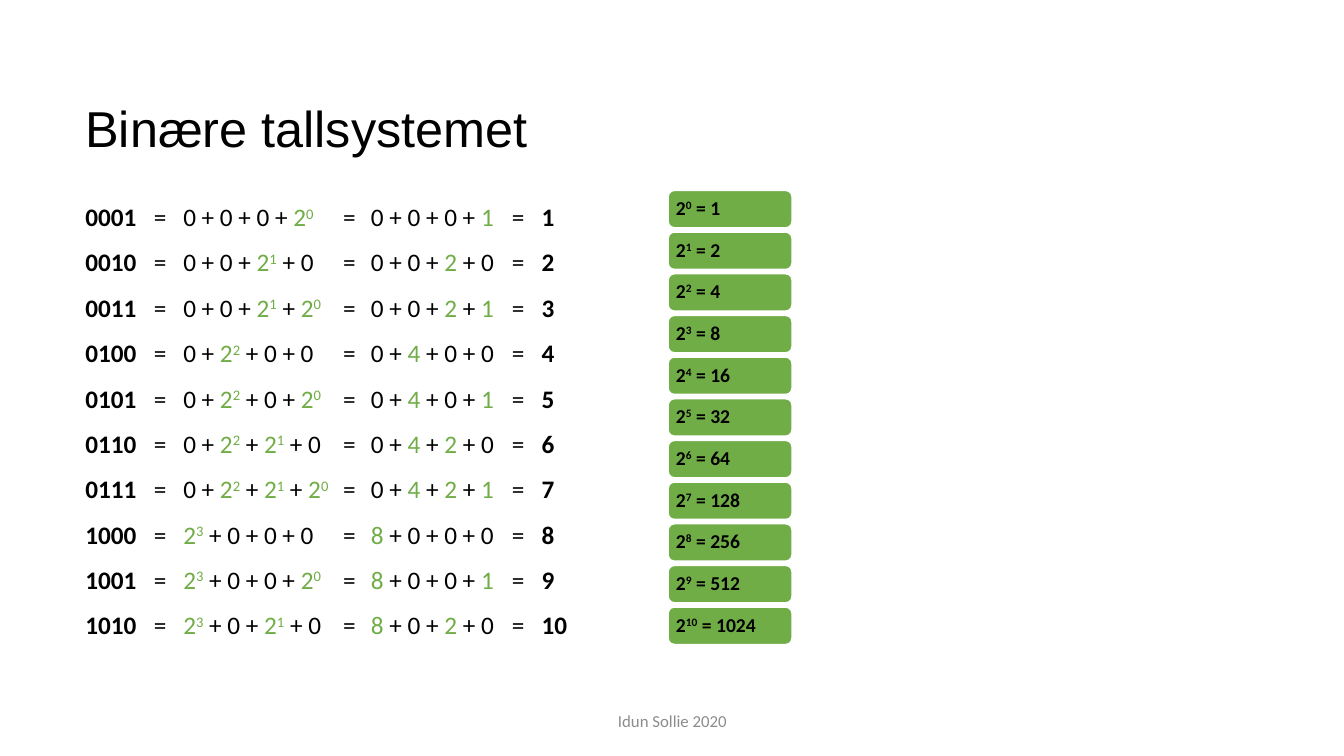
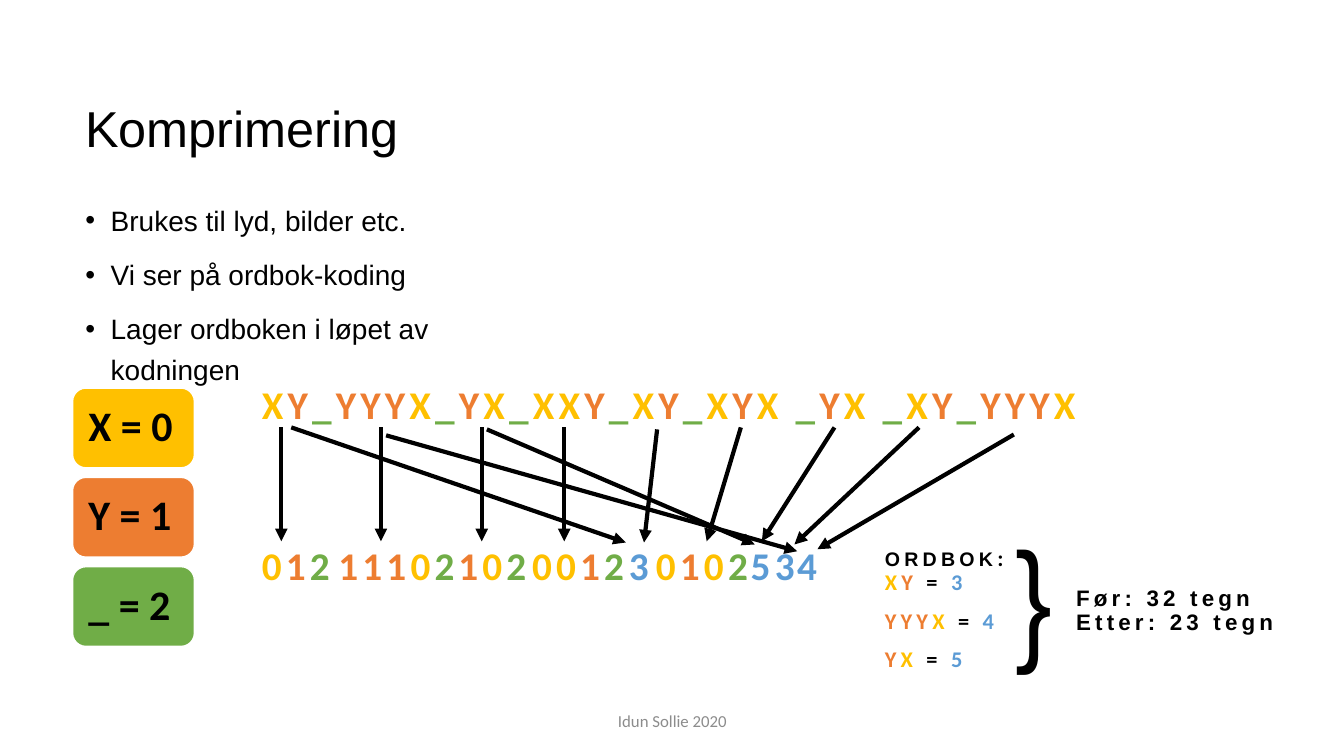
from itertools import groupby

from lxml import etree
from pptx import Presentation
from pptx.dml.color import RGBColor
from pptx.enum import shapes, text
from pptx.oxml import ns
from pptx.util import Cm, Pt

COLOURS = {
    "black": "000000", "white": "FFFFFF", "grey": "8C8C8C", "green": "70AD47",
    "gold": "FFC000", "orange": "ED7D31", "blue": "5B9BD5",
}
SYMBOL_COLOURS = {
    "X": "gold", "0": "gold", "Y": "orange", "1": "orange",
    "_": "green", "2": "green", "3": "blue", "4": "blue", "5": "blue",
}
PLAIN = {"font": "Calibri", "size": 18, "colour": "black",
         "bold": False, "tracking": 0, "raised": False}
CODE = {"size": 28, "bold": True, "tracking": 3}

EQUATION_TABS = (1.73, 2.47, 6.5, 7.2, 10.75, 11.5)
ARROW_TOP, ARROW_BOTTOM = 10.77, 13.64
CODE_TOP = 13.64
CODE_PIECES = (
    (6.35, "012"), (8.28, "11102"), (11.3, "102"), (13.16, "0012"), (15.6, "3"),
    (16.28, "0102"), (18.67, "5"), (19.28, "3"), (19.84, "4"),
)
STRAIGHT_ARROWS = (7.09, 9.6, 12.14, 14.22)
SLANTED_ARROWS = (
    (16.56, 10.82, 16.23, 13.67), (7.34, ARROW_TOP, 15.77, 13.67),
    (18.67, ARROW_TOP, 17.81, ARROW_BOTTOM), (21.03, ARROW_TOP, 19.2, ARROW_BOTTOM),
    (12.27, 10.82, 19.02, 13.72), (23.16, ARROW_TOP, 20.02, 13.72),
    (25.55, 10.95, 20.6, 13.84), (9.73, 10.97, 20.09, 13.89),
)


def rgb(name):
    return RGBColor.from_string(COLOURS[name])


def add_xml(parent, tag, **attributes):
    return etree.SubElement(parent, ns.qn(tag), attributes)


def format_run(run, font, size, colour, bold, tracking, raised):
    run.font.name = font
    run.font.size = Pt(size)
    run.font.bold = bold
    run.font.color.rgb = rgb(colour)
    properties = run._r.get_or_add_rPr()
    if tracking:
        properties.set("spc", str(tracking * 100))
    if raised:
        properties.set("baseline", "30000")


def write(frame, paragraphs, spacing=0.9, before=0, **style):
    """Fill a frame; a paragraph is a string or a list of (text, style changes)."""
    for index, content in enumerate(paragraphs):
        paragraph = frame.add_paragraph() if index else frame.paragraphs[0]
        paragraph.alignment = text.PP_ALIGN.LEFT
        paragraph.line_spacing = spacing
        paragraph.space_before = Pt(before)
        runs = [(content, {})] if isinstance(content, str) else content
        for words, changes in runs:
            run = paragraph.add_run()
            run.text = words
            format_run(run, **{**PLAIN, **style, **changes})


def add_text(slide, left, top, width, height, paragraphs, middle=False,
             wrap=True, fill=None, **style):
    box = slide.shapes.add_textbox(Cm(left), Cm(top), Cm(width), Cm(height))
    if fill:
        box.fill.solid()
        box.fill.fore_color.rgb = rgb(fill)
    frame = box.text_frame
    frame.word_wrap = wrap
    if middle:
        frame.vertical_anchor = text.MSO_ANCHOR.MIDDLE
    write(frame, paragraphs, **style)
    return frame


def add_card(slide, left, top, width, height, colour, content, inset, size):
    card = slide.shapes.add_shape(shapes.MSO_SHAPE.ROUNDED_RECTANGLE,
                                  Cm(left), Cm(top), Cm(width), Cm(height))
    card.shadow.inherit = False
    card.fill.solid()
    card.fill.fore_color.rgb = rgb(colour)
    card.line.color.rgb = rgb("white")
    card.line.width = Pt(1)
    frame = card.text_frame
    frame.margin_left = Cm(inset)
    frame.margin_right = frame.margin_top = frame.margin_bottom = 0
    frame.vertical_anchor = text.MSO_ANCHOR.MIDDLE
    write(frame, [content], size=size, bold=True)


def add_arrow(slide, x1, y1, x2, y2):
    arrow = slide.shapes.add_connector(shapes.MSO_CONNECTOR.STRAIGHT,
                                       Cm(x1), Cm(y1), Cm(x2), Cm(y2))
    arrow.line.color.rgb = rgb("black")
    arrow.line.width = Pt(3)
    add_xml(arrow.line._get_or_add_ln(), "a:tailEnd", type="triangle")
    add_xml(arrow._element.spPr, "a:effectLst")


def add_slide(deck, title):
    """Add a blank slide with the shared title and footer."""
    slide = deck.slides.add_slide(deck.slide_layouts[6])
    footer = add_text(slide, 11.23, 17.65, 11.43, 1.02, ["Idun Sollie 2020"],
                      middle=True, spacing=1, size=12, colour="grey")
    footer.paragraphs[0].alignment = text.PP_ALIGN.CENTER
    add_text(slide, 1.9, 1.94, 14.17, 2.72, [title], middle=True,
             font="Arial", size=36)
    return slide


def set_tabs(paragraph, stops):
    tabs = add_xml(paragraph._p.get_or_add_pPr(), "a:tabLst")
    for stop in stops:
        add_xml(tabs, "a:tab", pos=str(Cm(stop)), algn="l")


def set_bullet(paragraph, indent):
    properties = paragraph._p.get_or_add_pPr()
    properties.set("marL", str(Cm(indent)))
    properties.set("indent", str(-Cm(indent)))
    add_xml(properties, "a:buFont", typeface="Arial")
    add_xml(properties, "a:buChar", char="•")


def power(exponent, **style):
    return [("2", style), (str(exponent), {**style, "raised": True})]


def sum_runs(terms):
    runs = list(terms[0])
    for term in terms[1:]:
        runs += [(" + ", {}), *term]
    return runs


def equation(number):
    """Write a number as four bits, powers of two, their values and a decimal."""
    bits = f"{number:04b}"
    zero = [("0", {})]
    powers, values = [], []
    for exponent, bit in zip((3, 2, 1, 0), bits):
        is_set = bit == "1"
        powers.append(power(exponent, colour="green") if is_set else zero)
        values.append([(str(2 ** exponent), {"colour": "green"})] if is_set else zero)
    equals = ("\t=\t", {})
    return [(bits, {"bold": True}), equals, *sum_runs(powers), equals,
            *sum_runs(values), equals, (str(number), {"bold": True})]


def symbol_runs(symbols):
    """Split a string into runs, each in the colour of its symbols."""
    groups = groupby(symbols, lambda symbol: SYMBOL_COLOURS.get(symbol, "black"))
    return [("".join(group), {"colour": colour}) for colour, group in groups]


def build_binary_slide(deck):
    slide = add_slide(deck, "Binære tallsystemet")
    equations = add_text(slide, 1.9, 4.57, 13.89, 12.57,
                         [equation(number) for number in range(1, 11)], spacing=1.5)
    for paragraph in equations.paragraphs:
        set_tabs(paragraph, EQUATION_TABS)
    for exponent in range(11):
        runs = power(exponent) + [(f" = {2 ** exponent}", {})]
        add_card(slide, 16.84, 4.8 + 1.05 * exponent, 3.12, 0.94, "green",
                 runs, inset=0.15, size=14)


def build_compression_slide(deck):
    slide = add_slide(deck, "Komprimering")
    points = add_text(slide, 1.9, 4.83, 12.6, 5.94, [
        "Brukes til lyd, bilder etc.",
        "Vi ser på ordbok-koding",
        "Lager ordboken i løpet av kodningen",
    ], spacing=1.2, before=10, font="Arial", size=20)
    for paragraph in points.paragraphs:
        set_bullet(paragraph, 0.64)

    for index, symbol in enumerate("XY_"):
        add_card(slide, 1.83, 9.78 + 2.25 * index, 3.07, 2.01,
                 SYMBOL_COLOURS[symbol], f"{symbol} = {index}", inset=0.3, size=30)

    message = "XY_YYYX_YX_XXY_XY_XYX _YX _XY_YYYX"
    add_text(slide, 6.35, 9.6, 23.98, 1.35, [symbol_runs(message)], **CODE)
    for left, piece in CODE_PIECES:
        add_text(slide, left, CODE_TOP, 0.6 + 0.62 * len(piece), 1.35,
                 [symbol_runs(piece)], wrap=False, **CODE)

    for x in STRAIGHT_ARROWS:
        add_arrow(slide, x, ARROW_TOP, x, ARROW_BOTTOM)
    for ends in SLANTED_ARROWS:
        add_arrow(slide, *ends)

    heading = [("ORDBOK", {"font": "Arial", "size": 14}), (":", {})]
    entries = [symbol_runs(entry) for entry in ("XY = 3", "YYYX = 4", "YX = 5")]
    dictionary = add_text(slide, 22.05, 13.67, 5.36, 3.43, [heading, *entries],
                          fill="white", size=16, bold=True, tracking=3)
    for paragraph in dictionary.paragraphs[2:]:
        paragraph.space_before = Pt(10)
    add_text(slide, 25.35, 13.26, 2.97, 4.2, ["}"], font="Arial Narrow", size=96)
    add_text(slide, 26.87, 14.68, 6.81, 2.11, ["Før: 32 tegn", "Etter: 23 tegn"],
             fill="white", font="Arial", size=16, bold=True, tracking=3)


def main():
    deck = Presentation()
    deck.slide_width, deck.slide_height = Cm(33.87), Cm(19.05)
    build_binary_slide(deck)
    build_compression_slide(deck)
    deck.save("out.pptx")


if __name__ == "__main__":
    main()
